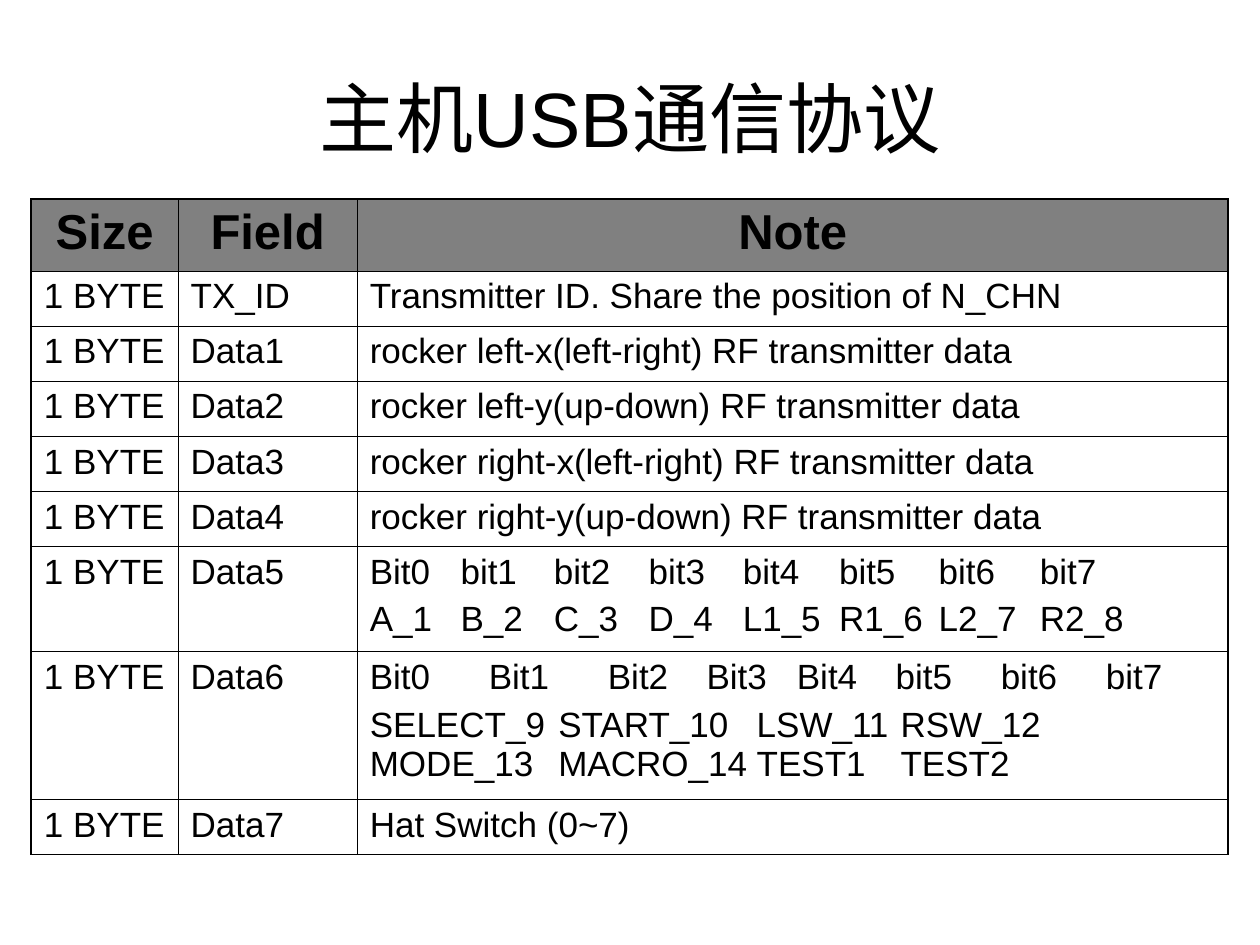
"""Build the USB host protocol slide with its field table."""
from pptx import Presentation
from pptx.dml.color import RGBColor
from pptx.enum.text import MSO_ANCHOR, PP_ALIGN
from pptx.oxml import parse_xml
from pptx.oxml.ns import nsdecls
from pptx.util import Cm, Pt


def color(value):
    return RGBColor.from_string(value)


def write(paragraph, text, look, stops=()):
    paragraph.text = text
    if stops:
        tabs = "".join(f'<a:tab pos="{Cm(stop)}" algn="l"/>' for stop in stops)
        paragraph._p.get_or_add_pPr().append(
            parse_xml(f'<a:tabLst {nsdecls("a")}>{tabs}</a:tabLst>'))
    for name, value in look.items():
        setattr(paragraph.font, name, value)
    paragraph.font.color.rgb = color("000000")


title_look = {"name": "Arial", "size": Pt(44), "bold": False}
header_look = {"name": "Arial", "size": Pt(28), "bold": True}
body_look = {"name": "Arial", "size": Pt(20), "bold": False}

fields = [
    ("TX_ID", ["Transmitter ID. Share the position of N_CHN"]),
    ("Data1", ["rocker left-x(left-right) RF transmitter data"]),
    ("Data2", ["rocker left-y(up-down) RF transmitter data"]),
    ("Data3", ["rocker right-x(left-right) RF transmitter data"]),
    ("Data4", ["rocker right-y(up-down) RF transmitter data"]),
    ("Data5", ["Bit0\tbit1\tbit2\tbit3\tbit4\tbit5\tbit6\tbit7",
               "A_1\tB_2\tC_3\tD_4\tL1_5\tR1_6\tL2_7\tR2_8"]),
    ("Data6", ["Bit0\tBit1\tBit2\tBit3\tBit4\tbit5\tbit6\tbit7",
               "SELECT_9\tSTART_10\tLSW_11\tRSW_12\v"
               "MODE_13\tMACRO_14\tTEST1\tTEST2"]),
    ("Data7", ["Hat Switch (0~7)"]),
]
rows = [(["Size"], ["Field"], ["Note"])]
rows += [(["1 BYTE"], [field], note) for field, note in fields]
note_stops = {
    "Data5": [(1.83, 3.71, 5.62, 7.52, 9.46, 11.47, 13.51)] * 2,
    "Data6": [(2.4, 4.8, 6.79, 8.61, 10.6, 12.72, 14.84), (3.8, 7.8, 10.7)],
}
column_widths = [2.96, 3.61, 17.56]
row_heights = [1.45] + [1.11] * 5 + [2.12, 2.98, 1.11]

prs = Presentation()
prs.slide_width, prs.slide_height = Cm(25.4), Cm(19.05)
slide = prs.slides.add_slide(prs.slide_layouts[6])

title = slide.shapes.add_textbox(Cm(1.27), Cm(0.76), Cm(22.86), Cm(3.18)).text_frame
title.word_wrap = True
title.vertical_anchor = MSO_ANCHOR.MIDDLE
title.paragraphs[0].alignment = PP_ALIGN.CENTER
write(title.paragraphs[0], "主机USB通信协议", title_look)

protocol = slide.shapes.add_table(
    len(rows), len(column_widths), Cm(0.63), Cm(4.01),
    Cm(sum(column_widths)), Cm(sum(row_heights))).table
protocol.horz_banding = False
for column, width in zip(protocol.columns, column_widths):
    column.width = Cm(width)
for row, height in zip(protocol.rows, row_heights):
    row.height = Cm(height)

last_row, last_column = len(rows) - 1, len(column_widths) - 1
for r, row in enumerate(rows):
    for c, lines in enumerate(row):
        cell = protocol.cell(r, c)
        stops = note_stops.get(row[1][0], []) if c == last_column else []
        for i, line in enumerate(lines):
            frame = cell.text_frame
            paragraph = frame.add_paragraph() if i else frame.paragraphs[0]
            if i:
                paragraph.space_before = Pt(5)
            if r == 0:
                paragraph.alignment = PP_ALIGN.CENTER
            write(paragraph, line, body_look if r else header_look,
                  stops[i] if stops else ())
        if r:
            cell.fill.background()
        else:
            cell.fill.solid()
            cell.fill.fore_color.rgb = color("808080")
        outer_edges = {"L": c == 0, "R": c == last_column,
                       "T": r == 0, "B": r == last_row}
        for position, (side, outer) in enumerate(outer_edges.items()):
            cell._tc.get_or_add_tcPr().insert(position, parse_xml(
                f'<a:ln{side} {nsdecls("a")} w="{Pt(1.08 if outer else 0.45)}">'
                f'<a:solidFill><a:srgbClr val="000000"/></a:solidFill></a:ln{side}>'))

prs.save("out.pptx")
